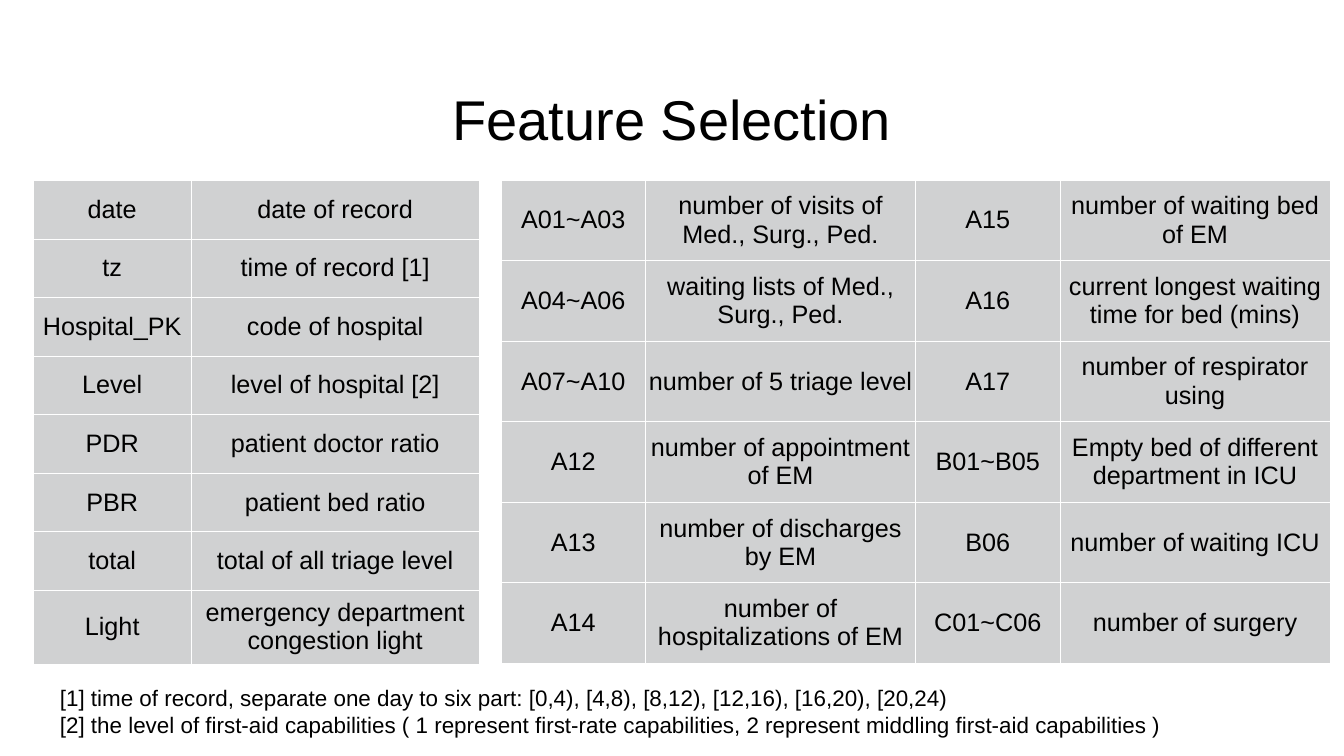
from dataclasses import dataclass

from lxml.etree import SubElement
from pptx import Presentation
from pptx.dml.color import RGBColor
from pptx.enum.text import MSO_ANCHOR, PP_ALIGN
from pptx.oxml.ns import qn
from pptx.util import Cm, Pt


@dataclass(frozen=True)
class Theme:
    font: str = "Arial"
    text: str = "000000"
    cell: str = "D0D1D2"
    border: str = "FFFFFF"
    title_size: int = 80
    table_size: int = 36
    note_size: int = 32


THEME = Theme()

RECORD_FEATURES = [
    ("date", "date of record"),
    ("tz", "time of record [1]"),
    ("Hospital_PK", "code of hospital"),
    ("Level", "level of hospital [2]"),
    ("PDR", "patient doctor ratio"),
    ("PBR", "patient bed ratio"),
    ("total", "total of all triage level"),
    ("Light", "emergency department congestion light"),
]

HOSPITAL_FEATURES = [
    ("A01~A03", "number of visits of Med., Surg., Ped.",
     "A15", "number of waiting bed of EM"),
    ("A04~A06", "waiting lists of Med., Surg., Ped.",
     "A16", "current longest waiting time for bed (mins)"),
    ("A07~A10", "number of 5 triage level",
     "A17", "number of respirator using"),
    ("A12", "number of appointment of EM",
     "B01~B05", "Empty bed of different department in ICU"),
    ("A13", "number of discharges by EM",
     "B06", "number of waiting ICU"),
    ("A14", "number of hospitalizations of EM",
     "C01~C06", "number of surgery"),
]

NOTES = [
    "[1] time of record, separate one day to six part: "
    "[0,4), [4,8), [8,12), [12,16), [16,20), [20,24)",
    "[2] the level of first-aid capabilities ( 1 represent first-rate capabilities, "
    "2 represent middling first-aid capabilities )",
]


def format_text(text_frame, size, alignment):
    for paragraph in text_frame.paragraphs:
        paragraph.alignment = alignment
        for run in paragraph.runs:
            run.font.name = THEME.font
            run.font.size = Pt(size)
            run.font.color.rgb = RGBColor.from_string(THEME.text)


def set_margins(target, margin):
    target.margin_left = target.margin_right = margin
    target.margin_top = target.margin_bottom = margin


def add_text(slide, left, top, width, height, lines, size, alignment, wrap):
    shape = slide.shapes.add_textbox(Cm(left), Cm(top), Cm(width), Cm(height))
    text_frame = shape.text_frame
    text_frame.word_wrap = wrap
    text_frame.vertical_anchor = MSO_ANCHOR.MIDDLE
    set_margins(text_frame, Cm(0.2))
    text_frame.text = "\n".join(lines)
    format_text(text_frame, size, alignment)


def add_borders(cell):
    properties = cell._tc.get_or_add_tcPr()
    for position, side in enumerate(("lnL", "lnR", "lnT", "lnB")):
        line = SubElement(properties, qn(f"a:{side}"), w=str(Pt(1)))
        fill = SubElement(line, qn("a:solidFill"))
        SubElement(fill, qn("a:srgbClr"), val=THEME.border)
        properties.insert(position, line)


def format_cell(cell, text):
    cell.text_frame.text = text
    cell.vertical_anchor = MSO_ANCHOR.MIDDLE
    set_margins(cell, Cm(0.14))
    format_text(cell.text_frame, THEME.table_size, PP_ALIGN.CENTER)
    cell.fill.solid()
    cell.fill.fore_color.rgb = RGBColor.from_string(THEME.cell)
    add_borders(cell)


def add_feature_table(slide, left, top, widths, heights, rows):
    frame = slide.shapes.add_table(
        len(heights), len(widths), Cm(left), Cm(top), Cm(sum(widths)), Cm(sum(heights)))
    table = frame.table
    table.first_row = False
    table.horz_banding = False
    for column, width in zip(table.columns, widths):
        column.width = Cm(width)
    for table_row, height, texts in zip(table.rows, heights, rows):
        table_row.height = Cm(height)
        for cell, text in zip(table_row.cells, texts):
            format_cell(cell, text)


def main():
    presentation = Presentation()
    presentation.slide_width = Cm(67.74)
    presentation.slide_height = Cm(38.1)
    slide = presentation.slides.add_slide(presentation.slide_layouts[6])

    add_text(slide, 12.19, 1.73, 43.36, 8.43, ["Feature Selection"],
             THEME.title_size, PP_ALIGN.CENTER, True)
    add_feature_table(slide, 1.68, 9.09, [7.95, 14.53], [2.95] * 7 + [3.73],
                      RECORD_FEATURES)
    add_text(slide, 2.82, 34.29, 56.92, 3.07, NOTES,
             THEME.note_size, PP_ALIGN.LEFT, False)
    add_feature_table(slide, 25.25, 9.07, [7.29, 13.6] * 2, [4.06] * 6,
                      HOSPITAL_FEATURES)
    presentation.save("out.pptx")


if __name__ == "__main__":
    main()
